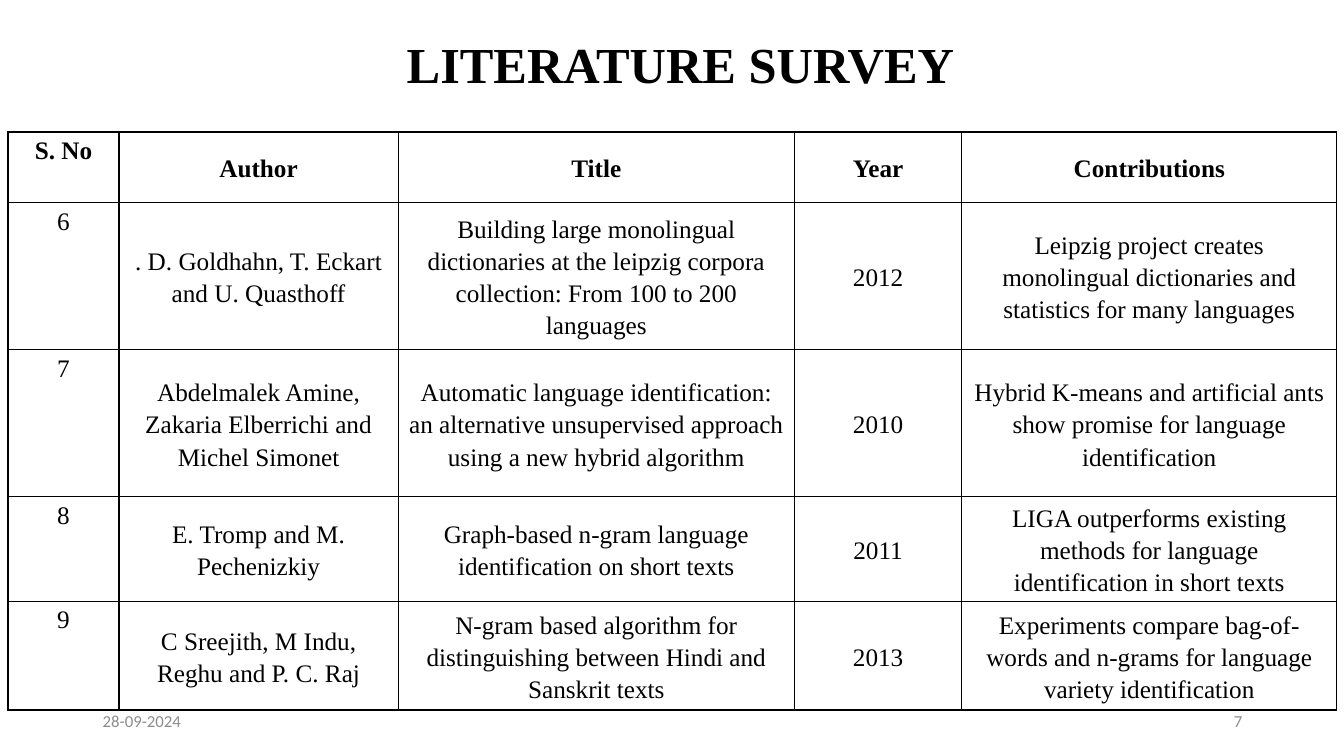
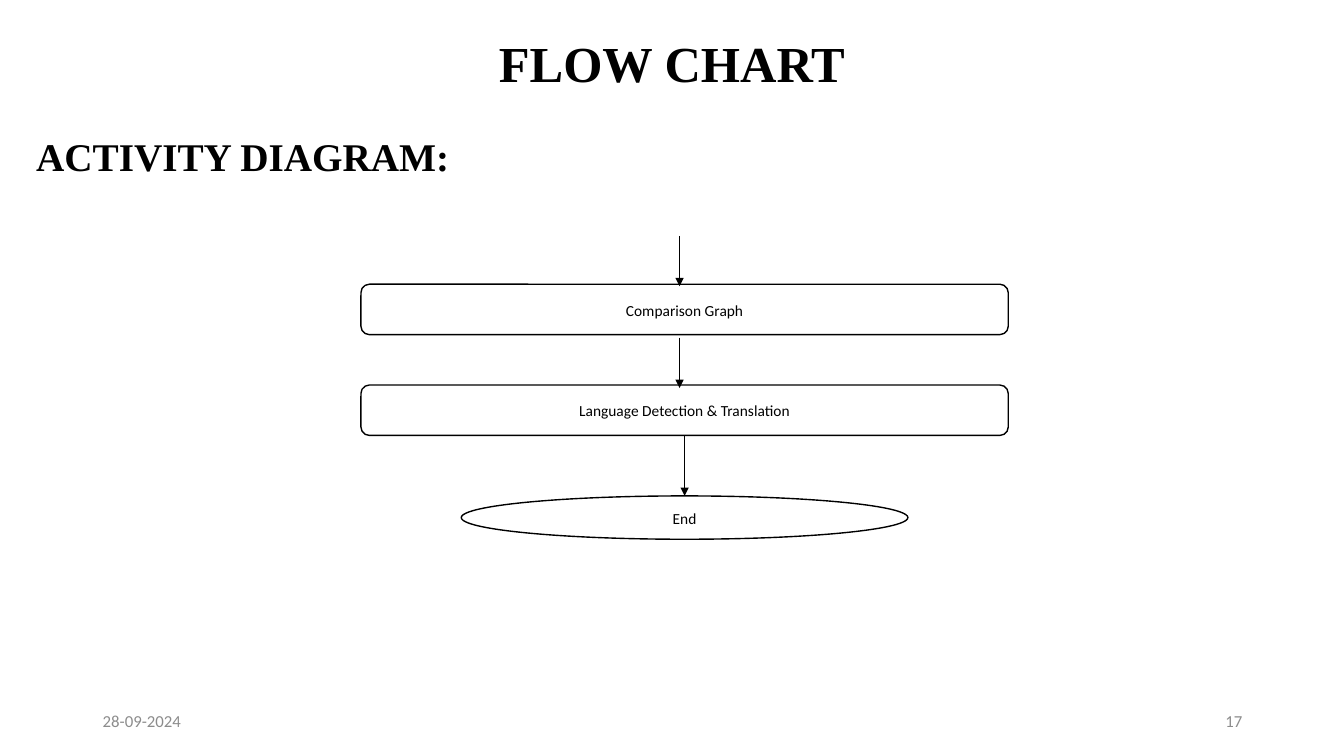
from lxml import etree
from pptx import Presentation
from pptx.dml.color import RGBColor
from pptx.enum import shapes, text
from pptx.oxml import ns
from pptx.util import Inches, Pt

COLOURS = {"ink": "000000", "footer": "8C8C8C"}
SERIF, SANS = "Times New Roman", "Calibri"
LEFT, CENTER, RIGHT = text.PP_ALIGN.LEFT, text.PP_ALIGN.CENTER, text.PP_ALIGN.RIGHT
TOP, MIDDLE = text.MSO_ANCHOR.TOP, text.MSO_ANCHOR.MIDDLE
WIDTH, HEIGHT = 13.33, 7.5
DATE = "28-09-2024"

HEADINGS = ["S. No", "Author", "Title", "Year", "Contributions"]
PAPERS = [
    ["6", ". D. Goldhahn, T. Eckart and U. Quasthoff",
     "Building large monolingual dictionaries at the leipzig corpora collection: "
     "From 100 to 200 languages", "2012",
     "Leipzig project creates monolingual dictionaries and statistics for many languages"],
    ["7", "Abdelmalek Amine, Zakaria Elberrichi and Michel Simonet",
     "Automatic language identification: an alternative unsupervised approach "
     "using a new hybrid algorithm", "2010",
     "Hybrid K-means and artificial ants show promise for language identification"],
    ["8", "E. Tromp and M. Pechenizkiy",
     "Graph-based n-gram language identification on short texts", "2011",
     "LIGA outperforms existing methods for language identification in short texts"],
    ["9", "C Sreejith, M Indu, Reghu and P. C. Raj",
     "N-gram based algorithm for distinguishing between Hindi and Sanskrit texts", "2013",
     "Experiments compare bag-of-words and n-grams for language variety identification"],
]
COLUMN_WIDTHS = [1.1, 2.77, 3.93, 1.66, 3.72]
ROW_HEIGHTS = [0.7, 1.46, 1.46, 0.96, 1.08]


def colour(name):
    return RGBColor.from_string(COLOURS[name])


def inches(values):
    return [Inches(value) for value in values]


def style_para(para, font, size, ink="ink", bold=False, align=LEFT, spacing=None):
    para.alignment = align
    para.line_spacing = spacing
    para.font.name, para.font.size, para.font.bold = font, Pt(size), bold
    para.font.color.rgb = colour(ink)


def add_text(page, box, words, anchor=MIDDLE, **style):
    frame = page.shapes.add_textbox(*inches(box)).text_frame
    frame.word_wrap = True
    frame.vertical_anchor = anchor
    para = frame.paragraphs[0]
    para.text = words
    style_para(para, **style)
    return para


def add_page(deck, title, number, title_box):
    """Add a blank slide with the shared title and footer."""
    page = deck.slides.add_slide(deck.slide_layouts[6])
    add_text(page, title_box, title, font=SERIF, size=36, bold=True, align=CENTER, spacing=0.9)
    for left, words, align in ((0.92, DATE, LEFT), (9.42, str(number), RIGHT)):
        add_text(page, (left, 6.95, 3, 0.4), words, font=SANS, size=12, ink="footer", align=align)
    return page


def add_borders(cell):
    properties = cell._tc.get_or_add_tcPr()
    for side in ("a:lnL", "a:lnR", "a:lnT", "a:lnB"):
        line = etree.SubElement(properties, ns.qn(side), w=str(Pt(1)))
        fill = etree.SubElement(line, ns.qn("a:solidFill"))
        etree.SubElement(fill, ns.qn("a:srgbClr"), val=COLOURS["ink"])


def fill_cell(cell, words, is_heading, is_number):
    add_borders(cell)
    cell.fill.background()
    if not is_number:
        cell.vertical_anchor = MIDDLE
        cell.margin_left = cell.margin_right = Inches(0.08)
        cell.margin_top = cell.margin_bottom = 0
    para = cell.text_frame.paragraphs[0]
    para.text = words
    style_para(para, SERIF, 18, bold=is_heading, align=CENTER,
               spacing=None if is_number else 1.15)


def add_survey_table(page, left, top):
    rows = [HEADINGS] + PAPERS
    box = (left, top, sum(COLUMN_WIDTHS), sum(ROW_HEIGHTS))
    table = page.shapes.add_table(len(rows), len(HEADINGS), *inches(box)).table
    table.first_row = table.horz_banding = False
    for column, width in zip(table.columns, COLUMN_WIDTHS):
        column.width = Inches(width)
    for row, height in zip(table.rows, ROW_HEIGHTS):
        row.height = Inches(height)
    for r, row in enumerate(rows):
        for c, words in enumerate(row):
            fill_cell(table.cell(r, c), words, is_heading=r == 0, is_number=c == 0)


def add_step(page, kind, box, words):
    step = page.shapes.add_shape(kind, *inches(box))
    step.shadow.inherit = False
    step.fill.background()
    step.line.color.rgb = colour("ink")
    step.line.width = Pt(1)
    step.text_frame.vertical_anchor = MIDDLE
    para = step.text_frame.paragraphs[0]
    para.text = words
    style_para(para, SANS, 11, align=CENTER, spacing=1.06)
    para.space_after = Pt(8)
    return step


def add_arrow(page, x, start, end):
    arrow = page.shapes.add_connector(
        shapes.MSO_CONNECTOR.STRAIGHT, *inches((x, start, x, end)))
    arrow.line.color.rgb = colour("ink")
    arrow.line.width = Pt(0.5)
    etree.SubElement(arrow.line._get_or_add_ln(), ns.qn("a:tailEnd"), type="triangle")
    etree.SubElement(arrow._element.spPr, ns.qn("a:effectLst"))
    return arrow


def add_activity_diagram(page, left, top, width):
    """Stack the steps under an incoming arrow that starts at top."""
    rounded, oval = shapes.MSO_SHAPE.ROUNDED_RECTANGLE, shapes.MSO_SHAPE.OVAL
    middle = left + width / 2
    end_width = 4.43
    add_step(page, rounded, (left, top + 0.48, width, 0.5), "Comparison Graph")
    detection = add_step(page, rounded, (left, top + 1.48, width, 0.5),
                         "Language Detection & Translation")
    end = add_step(page, oval, (middle - end_width / 2, top + 2.58, end_width, 0.43), "End")
    for start in (top, top + 1.01):
        add_arrow(page, middle - 0.05, start, start + 0.5)
    last_arrow = add_arrow(page, middle, top + 1.98, top + 2.58)
    last_arrow.begin_connect(detection, 2)
    last_arrow.end_connect(end, 0)


def add_survey_page(deck):
    page = add_page(deck, "LITERATURE SURVEY", 7, (-0.18, 0, 13.86, 1.34))
    add_survey_table(page, 0.08, 1.31)


def add_flow_page(deck):
    page = add_page(deck, "FLOW CHART", 17, (0, 0, WIDTH, 1.32))
    heading = add_text(page, (0.26, 1.32, 13.07, 5.44), "ACTIVITY DIAGRAM:", anchor=TOP,
                       font=SERIF, size=28, bold=True, spacing=0.9)
    heading.space_before = Pt(10)
    add_activity_diagram(page, 3.58, 2.34, 6.42)


def main():
    deck = Presentation()
    deck.slide_width, deck.slide_height = inches((WIDTH, HEIGHT))
    add_survey_page(deck)
    add_flow_page(deck)
    deck.save("out.pptx")


if __name__ == "__main__":
    main()
